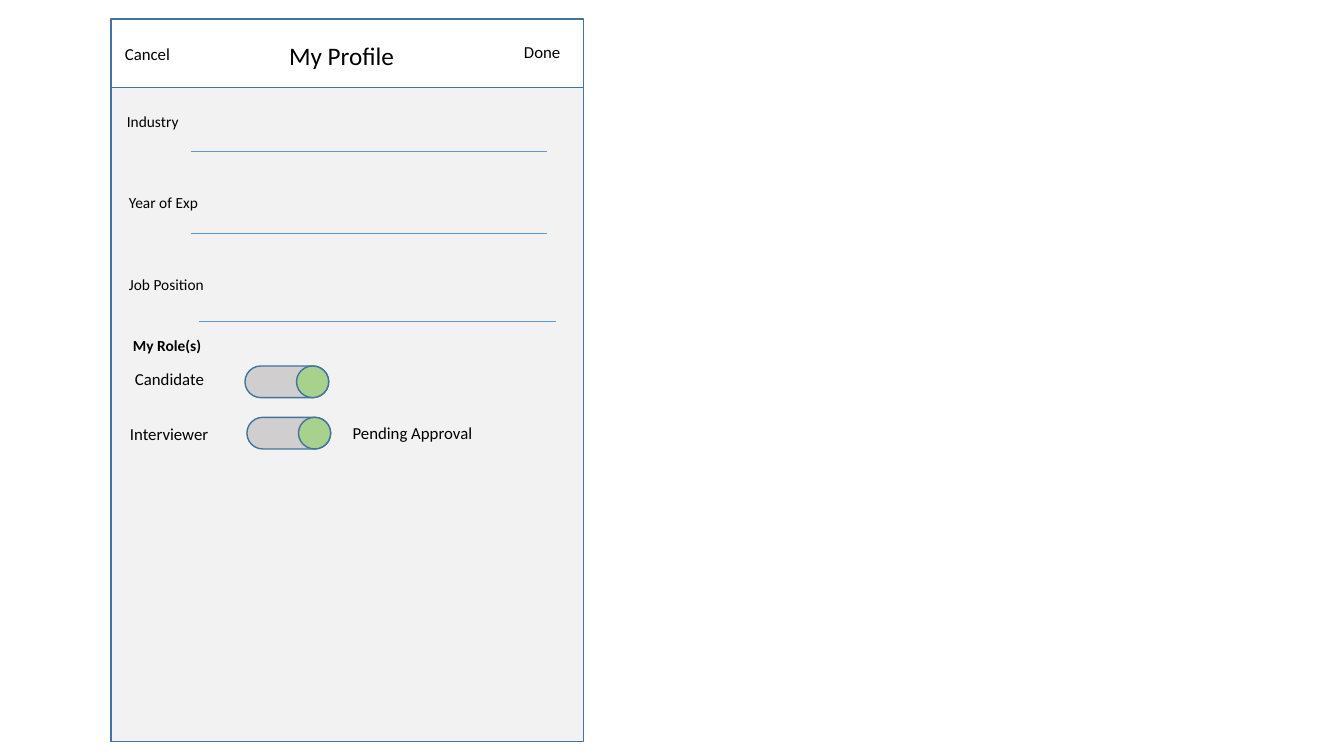
from pptx import Presentation
from pptx.dml.color import RGBColor
from pptx.enum.shapes import MSO_CONNECTOR, MSO_SHAPE
from pptx.enum.text import MSO_AUTO_SIZE
from pptx.oxml.ns import qn
from pptx.util import Pt

RECT, PILL, OVAL = MSO_SHAPE.RECTANGLE, MSO_SHAPE.ROUNDED_RECTANGLE, MSO_SHAPE.OVAL
STRAIGHT = MSO_CONNECTOR.STRAIGHT
FIT = MSO_AUTO_SIZE.SHAPE_TO_FIT_TEXT

WHITE = RGBColor(0xFF, 0xFF, 0xFF)
BLACK = RGBColor(0, 0, 0)
PALE = RGBColor(0xF2, 0xF2, 0xF2)
GREY = RGBColor(0xD0, 0xCE, 0xCE)
GREEN = RGBColor(0xA9, 0xD1, 0x8E)
EDGE = RGBColor(0x43, 0x73, 0x9E)
RULE = RGBColor(0x5B, 0x9B, 0xD5)
FONT = "Calibri"

# Content: text, left, top, width, size, bold
LABELS = [
    ("Cancel", 82.1, 27.4, 46.8, 12, False),
    ("My Profile", 199.4, 25.2, 90, 18, False),
    ("Done", 367.2, 26.6, 41, 12, False),
    ("Industry", 83.5, 76.3, 51.8, 11, False),
    ("Year of Exp", 85, 134.6, 64.8, 11, False),
    ("Job Position", 85, 193, 68.4, 11, False),
    ("My Role(s)", 87.8, 236.2, 64.1, 11, True),
    ("Candidate", 89.3, 259.9, 64.1, 12, False),
    ("Interviewer", 85.7, 298.8, 71.3, 12, False),
    ("Pending Approval", 244.8, 298.1, 100.8, 12, False),
]
PANELS = [(13.7, 515.5, WHITE), (62.6, 467.3, PALE)]  # top, height, fill
FIELDS = [(136.1, 108.4), (136.1, 167), (142.1, 229.9)]  # left, y
SWITCHES = [(175, 261.4), (176.4, 298.1)]  # left, top

PHONE_X, PHONE_W = 79.2, 337.7
FIELD_W = 254.9
TRACK_W, KNOB_W, SWITCH_H = 59.8, 23, 22.6

deck = Presentation()
deck.slide_width, deck.slide_height = Pt(960), Pt(540)
slide = deck.slides.add_slide(deck.slide_layouts[6])


def add_box(shapes, kind, x, y, w, h, fill):
    box = shapes.add_shape(kind, Pt(x), Pt(y), Pt(w), Pt(h))
    box.shadow.inherit = False
    box.fill.solid()
    box.fill.fore_color.rgb = fill
    box.line.color.rgb = EDGE
    box.line.width = Pt(1)
    return box


def add_rule(x, y):
    rule = slide.shapes.add_connector(STRAIGHT, Pt(x), Pt(y), Pt(x + FIELD_W), Pt(y))
    rule.line.color.rgb = RULE
    rule.line.width = Pt(0.5)
    props = rule._element.spPr
    props.append(props.makeelement(qn("a:effectLst"), {}))


def add_switch(x, y):
    group = slide.shapes.add_group_shape()
    track = add_box(group.shapes, PILL, x, y, TRACK_W, SWITCH_H, GREY)
    track.adjustments[0] = 0.5
    add_box(group.shapes, OVAL, x + TRACK_W - KNOB_W, y, KNOB_W, SWITCH_H, GREEN)


def add_label(text, x, y, w, size, bold):
    # Box height follows the type size: one line plus the insets
    box = slide.shapes.add_textbox(Pt(x), Pt(y), Pt(w), Pt(size * 1.2 + 7.2))
    frame = box.text_frame
    frame.word_wrap = False
    frame.auto_size = FIT
    para = frame.paragraphs[0]
    para.text = text
    para.font.name = FONT
    para.font.size = Pt(size)
    para.font.bold = bold
    para.font.color.rgb = BLACK


# Phone screen and its body
for top, high, fill in PANELS:
    add_box(slide.shapes, RECT, PHONE_X, top, PHONE_W, high, fill)

# Field lines and role switches
for spot in FIELDS:
    add_rule(*spot)
for spot in SWITCHES:
    add_switch(*spot)

# Wording
for label in LABELS:
    add_label(*label)

deck.save("out.pptx")
